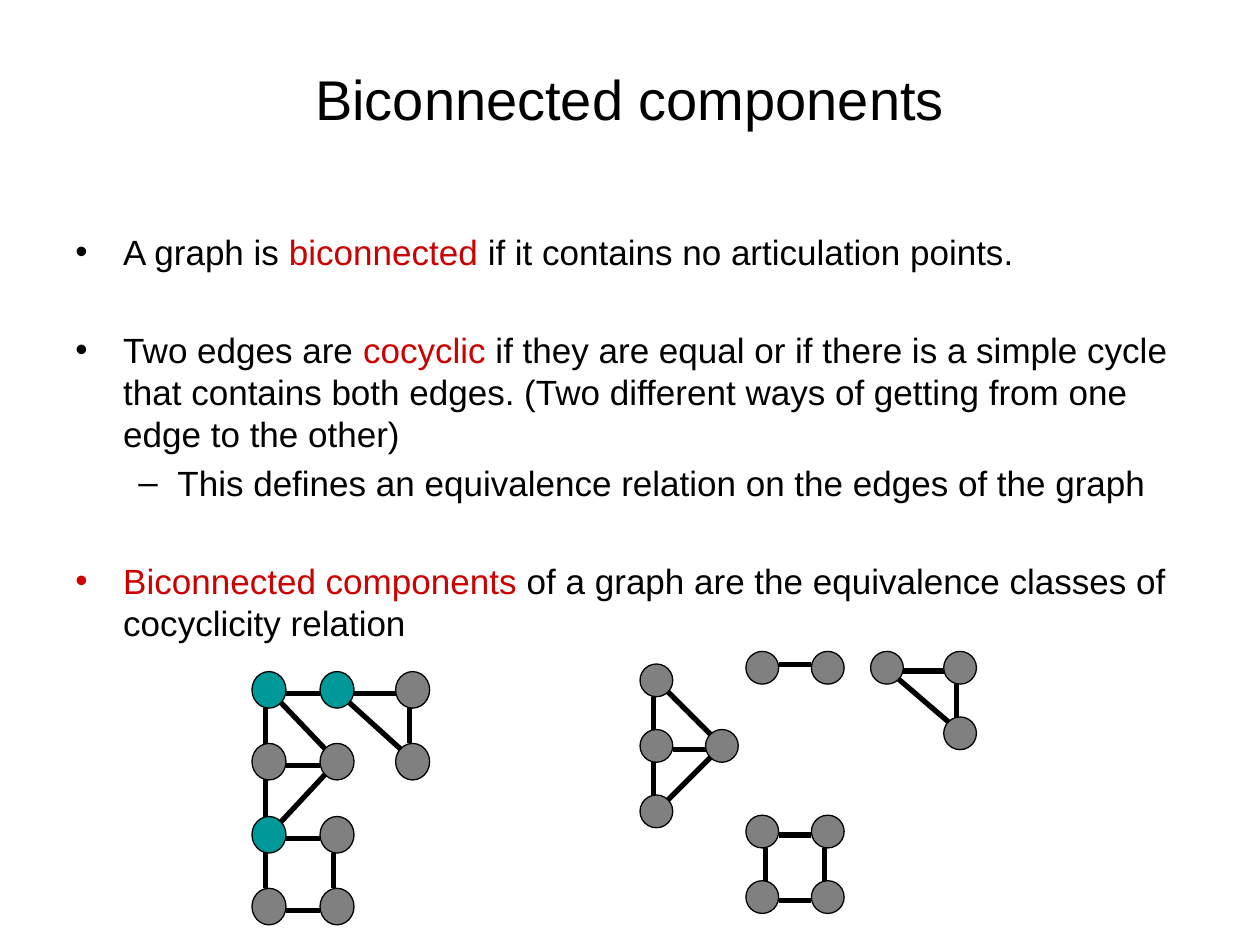
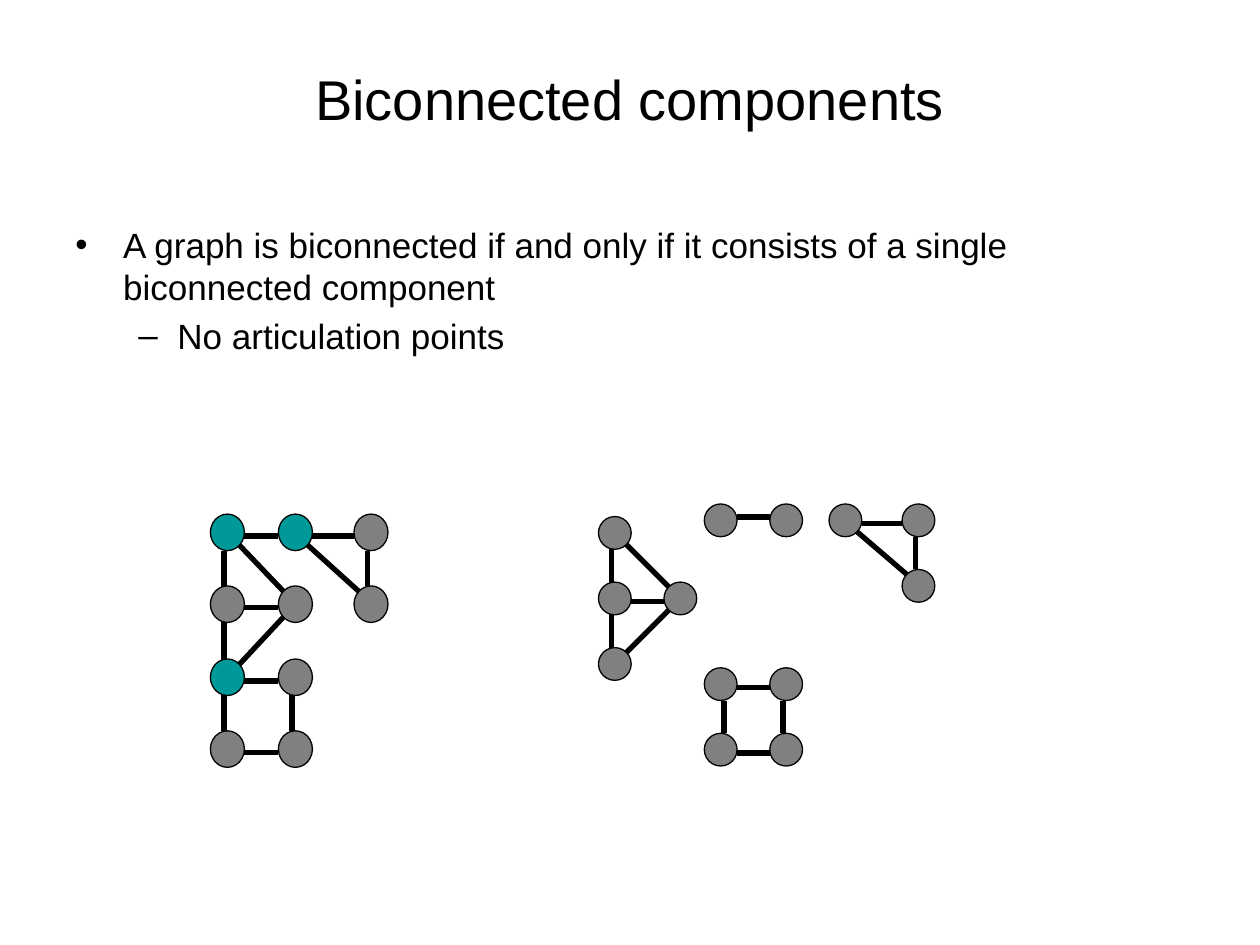
from dataclasses import dataclass

from lxml.etree import SubElement as Sub
from pptx import Presentation
from pptx.dml.color import RGBColor as RGB
from pptx.enum.shapes import MSO_CONNECTOR as Link, MSO_SHAPE as Form
from pptx.enum.text import MSO_ANCHOR as Anchor, PP_ALIGN as Align
from pptx.oxml.ns import qn
from pptx.util import Inches, Pt


@dataclass(frozen=True)
class Theme:
    font: str = "Arial"
    ink: RGB = RGB(0, 0, 0)
    key: RGB = RGB(0xCC, 0, 0)
    node: RGB = RGB(0x80, 0x80, 0x80)
    cut: RGB = RGB(0, 0x99, 0x99)
    head: Pt = Pt(32)
    body: Pt = Pt(20)
    gap: Pt = Pt(4)
    wide: Pt = Pt(32)
    edge: Pt = Pt(3)
    rim: Pt = Pt(0.75)


@dataclass(frozen=True)
class Graph:
    """Node places from the graph's corner, edges by node letters, cut nodes.

    An edge ending in ~ runs on the other side of the node centres.
    """
    size: tuple
    nodes: dict
    edges: str
    cuts: str = ""


THEME = Theme()
TITLE = (0.5, 0.3, 9, 0.95)
BODY = (0.5, 1.33, 9, 6.17)
MARKS = (("•", 0.38, 0.38), ("–", 0.81, 0.31))

COLS, ROWS = (0, 0.54, 1.14), (0, 0.57, 1.15, 1.72)
CELLS = [(x, y) for y in ROWS for x in (COLS if y < 1 else COLS[:2])]
WHOLE = Graph((0.27, 0.29), dict(zip("abcdefghij", CELLS)),
              "ge ae ai bf ab bc cf ij de gh hj", "abg")

STEP = 0.52
PARTS = Graph((0.26, 0.26), {
    **{n: (0, 0.1 + i * STEP) for i, n in enumerate("abc")},
    "d": (STEP, 0.1 + STEP),
    "e": (0.84, 0), "f": (0.84 + STEP, 0),
    "g": (1.83, 0), "h": (2.41, 0), "i": (2.41, STEP),
    **{n: (0.84 + i % 2 * STEP, 1.3 + i // 2 * STEP)
       for i, n in enumerate("jklm")},
}, "cd ad ac bd ef~ gi gh hi jk lm jl~ km")


def add_run(para, text, size, color):
    run = para.add_run()
    run.text = text
    run.font.name = THEME.font
    run.font.size = size
    run.font.color.rgb = color


def add_box(slide, box):
    frame = slide.shapes.add_textbox(*map(Inches, box)).text_frame
    frame.word_wrap = True
    return frame


def add_title(slide, box, text):
    frame = add_box(slide, box)
    frame.vertical_anchor = Anchor.MIDDLE
    para = frame.paragraphs[0]
    para.alignment = Align.CENTER
    add_run(para, text, THEME.head, THEME.ink)


def set_mark(para, level):
    mark, left, hang = MARKS[level]
    props = para._p.get_or_add_pPr()
    props.set("marL", str(Inches(left)))
    props.set("indent", str(-Inches(hang)))
    Sub(props, qn("a:buFont")).set("typeface", THEME.font)
    Sub(props, qn("a:buChar")).set("char", mark)


def add_list(slide, box, top, items):
    """Write (level, runs) items; a run starting with * is a key term."""
    frame = add_box(slide, box)
    frame.margin_top = Inches(top)
    for i, (level, runs) in enumerate(items):
        para = frame.add_paragraph() if i else frame.paragraphs[0]
        if i:
            para.space_before = THEME.gap if level else THEME.wide
        set_mark(para, level)
        for text in runs:
            color = THEME.key if text.startswith("*") else THEME.ink
            add_run(para, text.lstrip("*"), THEME.body, color)


def edge_ends(start, end, size, flip):
    """Find where an edge leaves one node and meets the next."""
    (ax, ay), (bx, by), (w, h) = start, end, size
    if ay == by:
        y = ay + h * (0.4 if flip else 0.6)
        return ax + w, y, bx, y
    if ax == bx:
        x = ax + w * (0.6 if flip else 0.4)
        return x, ay + h, x, by
    out, into = (0.8, 0.2) if by > ay else (0.2, 0.8)
    return ax + 0.8 * w, ay + out * h, bx + 0.2 * w, by + into * h


def add_edge(shapes, ends):
    line = shapes.add_connector(Link.STRAIGHT, *map(Inches, ends))
    line.line.color.rgb = THEME.ink
    line.line.width = THEME.edge
    Sub(line._element.spPr, qn("a:effectLst"))


def add_node(shapes, spot, size, color):
    dot = shapes.add_shape(Form.OVAL, *map(Inches, spot + size))
    dot.shadow.inherit = False
    dot.fill.solid()
    dot.fill.fore_color.rgb = color
    dot.line.color.rgb = THEME.ink
    dot.line.width = THEME.rim


def add_graph(slide, corner, graph):
    shapes = slide.shapes.add_group_shape().shapes
    left, top = corner
    spots = {n: (left + x, top + y) for n, (x, y) in graph.nodes.items()}
    for edge in graph.edges.split():
        start, end = spots[edge[0]], spots[edge[1]]
        add_edge(shapes, edge_ends(start, end, graph.size, "~" in edge))
    for name, spot in spots.items():
        color = THEME.cut if name in graph.cuts else THEME.node
        add_node(shapes, spot, graph.size, color)


def add_page(deck, top, items, parts, whole):
    slide = deck.slides.add_slide(deck.slide_layouts[6])
    add_title(slide, TITLE, "Biconnected components")
    add_list(slide, BODY, top, items)
    add_graph(slide, parts, PARTS)
    add_graph(slide, whole, WHOLE)


def main():
    deck = Presentation()
    deck.slide_width, deck.slide_height = Inches(10), Inches(7.5)
    add_page(deck, 0.5, [
        (0, ["A graph is ", "*biconnected",
             " if it contains no articulation points."]),
        (0, ["Two edges are ", "*cocyclic",
             " if they are equal or if there is a simple cycle that contains "
             "both edges. (Two different ways of getting from one edge to "
             "the other)"]),
        (1, ["This defines an equivalence relation on the edges of "
             "the graph"]),
        (0, ["*Biconnected components",
             " of a graph are the equivalence classes of cocyclicity "
             "relation"]),
    ], (5.08, 5.17), (2, 5.33))
    add_page(deck, 0.44, [
        (0, ["A graph is biconnected if and only if it consists of a single "
             "biconnected component"]),
        (1, ["No articulation points"]),
    ], (4.75, 4), (1.67, 4.08))
    deck.save("out.pptx")


if __name__ == "__main__":
    main()
